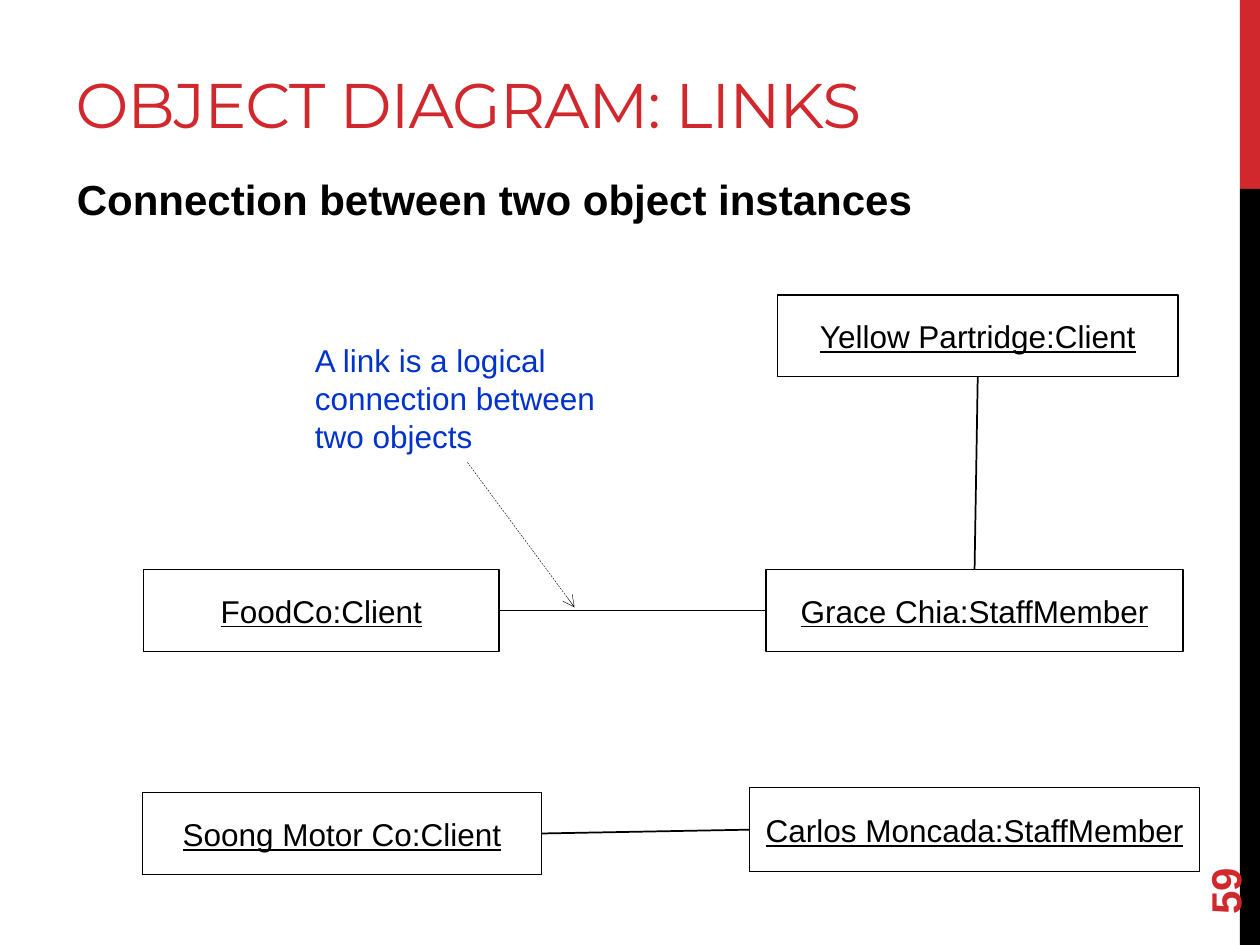
from dataclasses import dataclass

import lxml.etree
import pptx
import pptx.dml.color
import pptx.enum.dml
import pptx.enum.shapes
import pptx.enum.text
import pptx.oxml.ns
import pptx.util

WIDTH, HEIGHT = 10, 7.5
COLUMNS, ROWS = 100, 75
RED, BLACK, BLUE = "D1282E", "000000", "0033CC"
TOP, LEFT, BOTTOM, RIGHT = range(4)
ANCHOR = pptx.enum.text.MSO_ANCHOR
ALIGN = pptx.enum.text.PP_ALIGN


@dataclass(frozen=True)
class Area:
    column: float
    row: float
    columns: float
    rows: float


@dataclass(frozen=True)
class ObjectBox:
    label: str
    area: Area


@dataclass(frozen=True)
class Link:
    start: str
    start_side: int
    end: str
    end_side: int


OBJECTS = [
    ObjectBox("FoodCo:Client", Area(11.4, 45.2, 28.2, 6.5)),
    ObjectBox("Yellow Partridge:Client", Area(61.7, 23.4, 31.8, 6.5)),
    ObjectBox("Soong Motor Co:Client", Area(11.3, 62.9, 31.7, 6.5)),
    ObjectBox("Grace Chia:StaffMember", Area(60.8, 45.2, 33.1, 6.5)),
    ObjectBox("Carlos Moncada:StaffMember", Area(59.5, 62.5, 35.7, 6.7)),
]
LINKS = [
    Link("Grace Chia:StaffMember", LEFT, "FoodCo:Client", RIGHT),
    Link("Carlos Moncada:StaffMember", LEFT, "Soong Motor Co:Client", RIGHT),
    Link("Grace Chia:StaffMember", TOP, "Yellow Partridge:Client", BOTTOM),
]


def color(value: str) -> pptx.dml.color.RGBColor:
    return pptx.dml.color.RGBColor.from_string(value)


def across(columns: float) -> int:
    return pptx.util.Inches(columns * WIDTH / COLUMNS)


def down(rows: float) -> int:
    return pptx.util.Inches(rows * HEIGHT / ROWS)


def bounds(area: Area) -> tuple:
    return across(area.column), down(area.row), across(area.columns), down(area.rows)


def place(shape, area: Area) -> None:
    shape.left, shape.top, shape.width, shape.height = bounds(area)


def write(shape, text: str, size: float, fill: str, font: str = "Arial",
          bold: bool = False, underline: bool = False,
          align=ALIGN.LEFT, anchor=ANCHOR.TOP):
    frame = shape.text_frame
    frame.word_wrap = True
    frame.auto_size = pptx.enum.text.MSO_AUTO_SIZE.NONE
    frame.vertical_anchor = anchor
    paragraph = frame.paragraphs[0]
    paragraph.alignment = align
    run = paragraph.add_run()
    run.text = text
    run.font.name = font
    run.font.size = pptx.util.Pt(size)
    run.font.bold = bold
    run.font.underline = underline
    run.font.color.rgb = color(fill)
    return paragraph, run


def add_rectangle(slide, area: Area):
    shape = slide.shapes.add_shape(
        pptx.enum.shapes.MSO_SHAPE.RECTANGLE, *bounds(area))
    shape.shadow.inherit = False
    return shape


def add_stripe(slide, area: Area, fill: str) -> None:
    stripe = add_rectangle(slide, area)
    stripe.fill.solid()
    stripe.fill.fore_color.rgb = color(fill)
    stripe.line.fill.background()


def add_object(slide, item: ObjectBox):
    box = add_rectangle(slide, item.area)
    box.fill.background()
    box.line.color.rgb = color(BLACK)
    box.line.width = pptx.util.Pt(0.75)
    frame = box.text_frame
    frame.margin_left = frame.margin_right = 0
    frame.margin_top = frame.margin_bottom = 0
    write(box, item.label, 18, BLACK, underline=True,
          align=ALIGN.CENTER, anchor=ANCHOR.MIDDLE)
    return box


def add_line(slide, start: tuple, end: tuple, width: float):
    line = slide.shapes.add_connector(
        pptx.enum.shapes.MSO_CONNECTOR.STRAIGHT,
        across(start[0]), down(start[1]), across(end[0]), down(end[1]))
    line.line.color.rgb = color(BLACK)
    line.line.width = pptx.util.Pt(width)
    lxml.etree.SubElement(line._element.spPr, pptx.oxml.ns.qn("a:effectLst"))
    return line


def add_link(slide, link: Link, boxes: dict) -> None:
    line = add_line(slide, (0, 0), (0, 0), 1)
    line.begin_connect(boxes[link.start], link.start_side)
    line.end_connect(boxes[link.end], link.end_side)


def add_pointer(slide, start: tuple, end: tuple) -> None:
    pointer = add_line(slide, start, end, 0.25)
    pointer.line.dash_style = pptx.enum.dml.MSO_LINE.DASH
    lxml.etree.SubElement(
        pointer.line._get_or_add_ln(), pptx.oxml.ns.qn("a:tailEnd"), type="arrow")


def add_headings(slide) -> None:
    title, body = slide.placeholders
    place(title, Area(5, 1.7, 72.7, 10))
    _, run = write(title, "OBJECT DIAGRAM: LINKS", 36, RED,
                   font="Montserrat", anchor=ANCHOR.BOTTOM)
    run.font._element.set("spc", "-60")
    place(body, Area(5.1, 13.3, 90, 6))
    paragraph, _ = write(body, "Connection between two object instances", 24,
                         BLACK, bold=True)
    paragraph.space_after = pptx.util.Pt(6)
    properties = paragraph._p.get_or_add_pPr()
    properties.set("marL", "0")
    properties.set("indent", "0")
    lxml.etree.SubElement(properties, pptx.oxml.ns.qn("a:buNone"))


def main() -> None:
    presentation = pptx.Presentation()
    presentation.slide_width = pptx.util.Inches(WIDTH)
    presentation.slide_height = pptx.util.Inches(HEIGHT)
    slide = presentation.slides.add_slide(presentation.slide_layouts[1])

    add_stripe(slide, Area(98.4, 0, 1.6, 15), RED)
    add_stripe(slide, Area(98.4, 15, 1.6, 60), BLACK)
    add_headings(slide)

    number = slide.shapes.add_textbox(*bounds(Area(90, 64.4, 14.4, 4)))
    number.rotation = 270
    write(number, "59", 24, RED, bold=True, anchor=ANCHOR.MIDDLE)

    boxes = {item.label: add_object(slide, item) for item in OBJECTS}
    for link in LINKS:
        add_link(slide, link, boxes)

    note = slide.shapes.add_textbox(*bounds(Area(24, 26.6, 26.1, 10.1)))
    write(note, "A link is a logical connection between two objects", 18, BLUE)
    add_pointer(slide, (37.1, 36.7), (45.6, 48.2))

    presentation.save("out.pptx")


if __name__ == "__main__":
    main()
